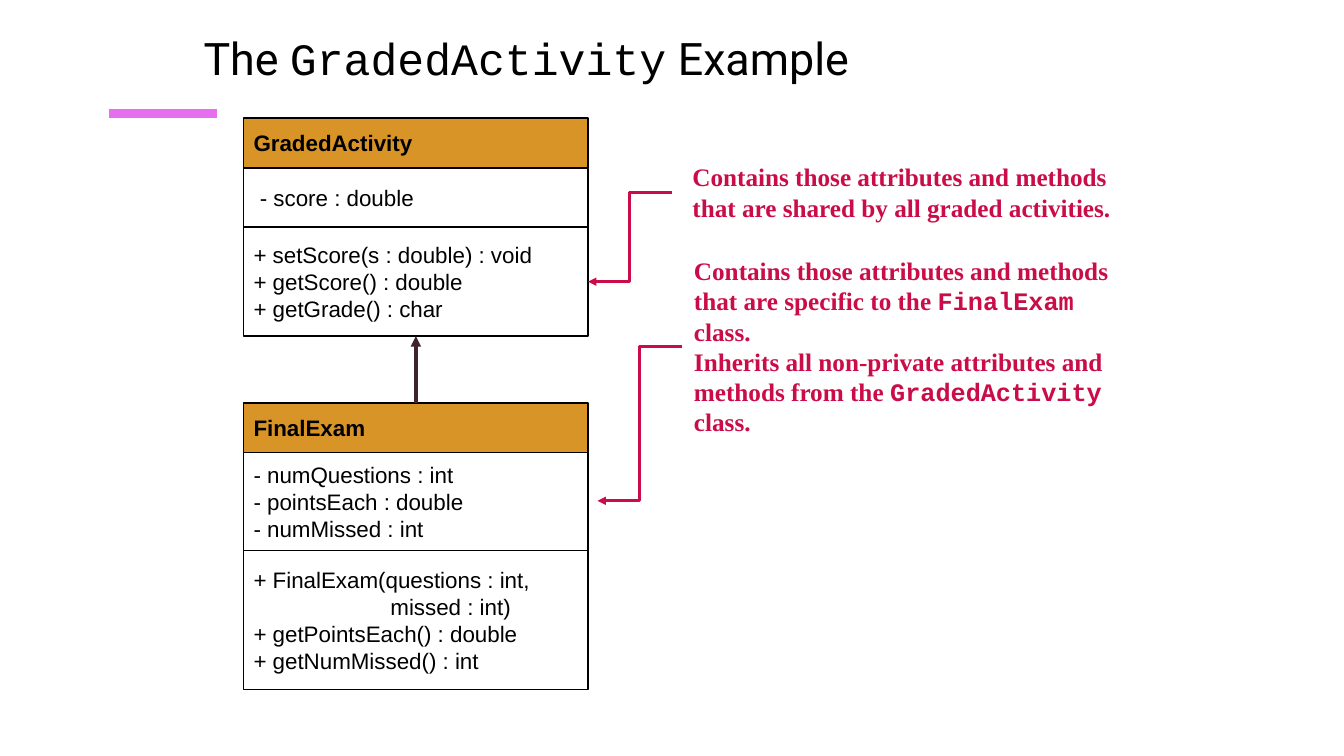
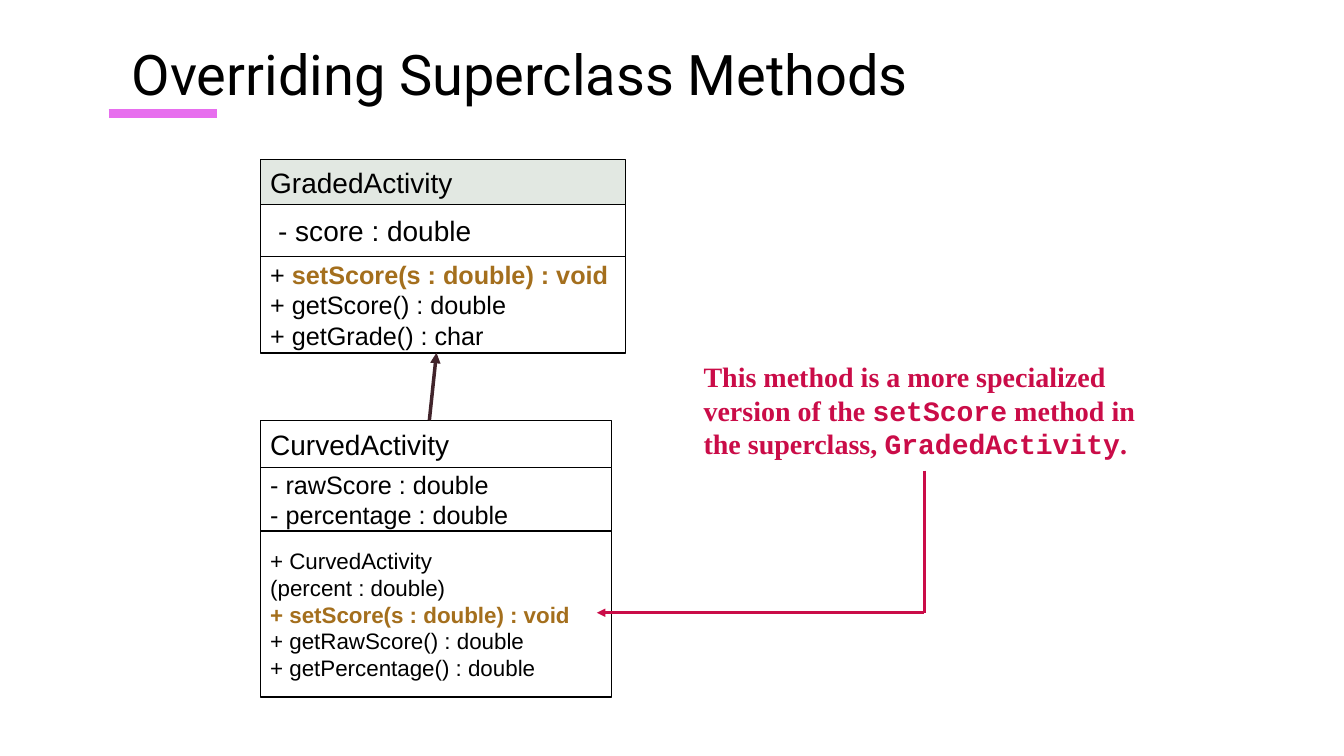
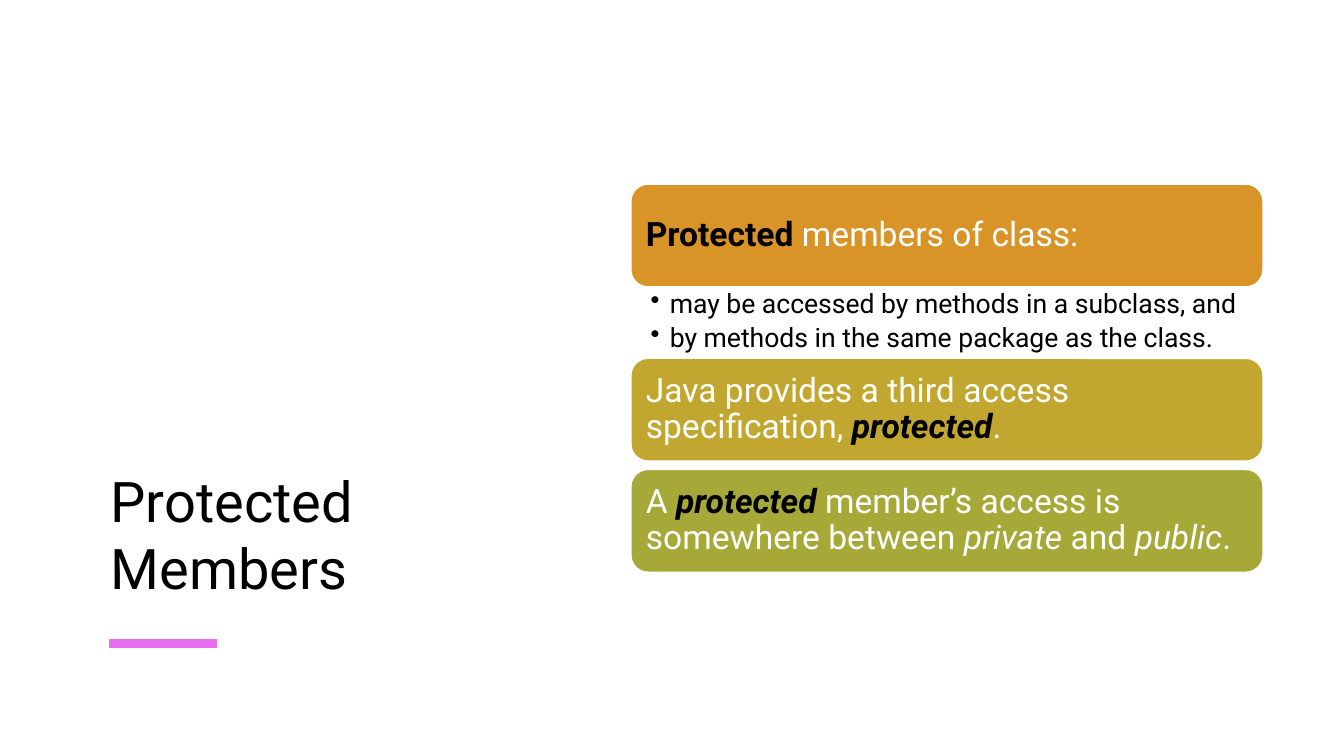
from dataclasses import dataclass

from lxml import etree
from pptx import Presentation
from pptx import util as u
from pptx.dml.color import RGBColor
from pptx.enum import shapes, text
from pptx.oxml import ns


@dataclass(frozen=True)
class Theme:
    black: str = "000000"
    white: str = "FFFFFF"
    accent: str = "E76EEE"
    orange: str = "D99428"
    gold: str = "C1A730"
    olive: str = "A6A938"
    pale: str = "E2E8E2"
    highlight: str = "A46F1D"
    crimson: str = "CA0C48"
    maroon: str = "41242B"
    heading_font: str = "Roboto"
    diagram_font: str = "Arial"
    code_font: str = "Courier New"
    note_font: str = "Times New Roman"
    title_size: int = 40
    small_title_size: int = 32
    card_size: int = 24
    large_size: int = 20
    bullet_size: int = 19
    medium_size: int = 18
    small_size: int = 16


THEME = Theme()


@dataclass(frozen=True)
class Style:
    name: str
    size: int
    color: str = THEME.black
    bold: bool = False


@dataclass(frozen=True)
class Run:
    text: str
    font: str | None = None
    color: str | None = None
    bold: bool | None = None
    italic: bool | None = None


@dataclass(frozen=True)
class Line:
    runs: tuple[Run, ...]
    indent: float = 0
    hanging: float = 0
    bullet: str = ""
    spacing: float | None = None
    after: float = 0


@dataclass(frozen=True)
class Box:
    left: float
    top: float
    width: float
    height: float

    def lengths(self) -> tuple[u.Cm, ...]:
        return tuple(u.Cm(value) for value in (self.left, self.top, self.width, self.height))


@dataclass(frozen=True)
class Section:
    height: float
    size: int
    lines: tuple[Line, ...]
    fill: str = THEME.white
    bold: bool = False


@dataclass(frozen=True)
class ClassDiagram:
    left: float
    top: float
    width: float
    sections: tuple[Section, ...]


@dataclass(frozen=True)
class Card:
    top: float
    fill: str
    runs: tuple[Run, ...]


def line(*parts: str | Run, **options) -> Line:
    return Line(tuple(Run(part) if isinstance(part, str) else part for part in parts), **options)


def code(content: str) -> Run:
    return Run(content, font=THEME.code_font)


def marked(content: str) -> Run:
    return Run(content, color=THEME.highlight, bold=True)


def write_lines(frame, lines: tuple[Line, ...], style: Style, anchor=text.MSO_ANCHOR.TOP) -> None:
    frame.word_wrap = True
    frame.vertical_anchor = anchor
    for index, item in enumerate(lines):
        paragraph = frame.add_paragraph() if index else frame.paragraphs[0]
        paragraph.alignment = text.PP_ALIGN.LEFT
        if item.spacing:
            paragraph.line_spacing = item.spacing
        if item.after:
            paragraph.space_after = u.Pt(item.after)
        properties = paragraph._p.get_or_add_pPr()
        if item.indent:
            properties.set("marL", str(u.Cm(item.indent)))
            properties.set("indent", str(u.Cm(-item.hanging)))
        if item.bullet:
            etree.SubElement(properties, ns.qn("a:buChar")).set("char", item.bullet)
        font = paragraph.font
        font.name, font.size, font.bold = style.name, u.Pt(style.size), style.bold
        font.color.rgb = RGBColor.from_string(style.color)
        for part in item.runs:
            run = paragraph.add_run()
            run.text = part.text
            if part.font:
                run.font.name = part.font
            if part.color:
                run.font.color.rgb = RGBColor.from_string(part.color)
            if part.bold is not None:
                run.font.bold = part.bold
            if part.italic is not None:
                run.font.italic = part.italic


def add_text(slide, box: Box, lines: tuple[Line, ...], style: Style, anchor=text.MSO_ANCHOR.TOP):
    shape = slide.shapes.add_textbox(*box.lengths())
    write_lines(shape.text_frame, lines, style, anchor)
    return shape


def add_panel(slide, kind, box: Box, fill: str, outline: str, lines: tuple[Line, ...], style: Style) -> None:
    shape = slide.shapes.add_shape(kind, *box.lengths())
    shape.shadow.inherit = False
    shape.fill.solid()
    shape.fill.fore_color.rgb = RGBColor.from_string(fill)
    shape.line.color.rgb = RGBColor.from_string(outline)
    shape.line.width = u.Pt(1)
    write_lines(shape.text_frame, lines, style, text.MSO_ANCHOR.MIDDLE)


def add_line(slide, start: tuple[float, float], end: tuple[float, float], color: str, width: float,
             arrow: bool = False, kind=shapes.MSO_CONNECTOR.STRAIGHT) -> None:
    connector = slide.shapes.add_connector(kind, *(u.Cm(value) for value in start + end))
    connector.line.color.rgb = RGBColor.from_string(color)
    connector.line.width = u.Pt(width)
    if arrow:
        outline = connector.line._get_or_add_ln()
        etree.SubElement(outline, ns.qn("a:tailEnd")).set("type", "triangle")
    etree.SubElement(connector._element.spPr, ns.qn("a:effectLst"))


def add_slide(presentation, title: Line, title_box: Box, size: int = THEME.title_size,
              anchor=text.MSO_ANCHOR.TOP, accent_top: float = 2.86):
    slide = presentation.slides.add_slide(presentation.slide_layouts[6])
    add_line(slide, (2.74, accent_top), (5.46, accent_top), THEME.accent, 6)
    add_text(slide, title_box, (title,), Style(THEME.heading_font, size), anchor)
    return slide


def add_class(slide, diagram: ClassDiagram) -> None:
    top = diagram.top
    for section in diagram.sections:
        add_panel(slide, shapes.MSO_SHAPE.RECTANGLE, Box(diagram.left, top, diagram.width, section.height),
                  section.fill, THEME.black, section.lines,
                  Style(THEME.diagram_font, section.size, bold=section.bold))
        top += section.height


def add_callout(slide, box: Box, size: int, *lines: Line, anchor=text.MSO_ANCHOR.MIDDLE) -> None:
    add_text(slide, box, lines, Style(THEME.note_font, size, THEME.crimson, True), anchor)


def build_example(presentation) -> None:
    slide = add_slide(presentation, line("The ", code("GradedActivity"), " Example"),
                      Box(4.88, 0.64, 21.59, 2.34), THEME.small_title_size)
    size = THEME.small_size
    add_class(slide, ClassDiagram(6.14, 2.97, 8.68, (
        Section(1.27, size, (line("GradedActivity"),), THEME.orange, True),
        Section(1.48, size, (line("- score : double", indent=0.16),)),
        Section(2.75, size, (line("+ setScore(s : double) : void"), line("+ getScore() : double"),
                             line("+ getGrade() : char"))),
    )))
    add_class(slide, ClassDiagram(6.14, 10.16, 8.68, (
        Section(1.24, size, (line("FinalExam"),), THEME.orange, True),
        Section(2.47, size, (line("- numQuestions : int"), line("- pointsEach : double"),
                             line("- numMissed : int"))),
        Section(3.51, size, (line("+ FinalExam(questions : int,"), line("missed : int)", indent=3.45),
                             line("+ getPointsEach() : double"), line("+ getNumMissed() : int"))),
    )))
    add_line(slide, (10.48, 10.16), (10.48, 8.47), THEME.maroon, 2.5, True)
    add_callout(slide, Box(17.2, 3.94, 11.37, 1.8), THEME.medium_size,
                line("Contains those attributes and methods that are shared by all graded activities."))
    add_callout(slide, Box(17.24, 6.3, 11.33, 4.85), THEME.medium_size,
                line("Contains those attributes and methods that are specific to the ",
                     code("FinalExam"), " class."),
                line("Inherits all non-private attributes and methods from the ",
                     code("GradedActivity"), " class."))
    for start, end in (((16.93, 4.85), (14.82, 7.1)), ((17.18, 8.74), (15.06, 12.62))):
        add_line(slide, start, end, THEME.crimson, 2, True, shapes.MSO_CONNECTOR.ELBOW)


def build_overriding(presentation) -> None:
    slide = add_slide(presentation, line("Overriding Superclass Methods"), Box(3.07, 0.86, 28.78, 3.3))
    add_class(slide, ClassDiagram(6.56, 4.02, 9.2, (
        Section(1.13, THEME.large_size, (line("GradedActivity"),), THEME.pale),
        Section(1.31, THEME.large_size, (line("- score : double", indent=0.2),)),
        Section(2.44, THEME.medium_size, (line("+ ", marked("setScore(s : double) : void")),
                                          line("+ getScore() : double"), line("+ getGrade() : char"))),
    )))
    add_class(slide, ClassDiagram(6.56, 10.59, 8.86, (
        Section(1.19, THEME.large_size, (line("CurvedActivity"),)),
        Section(1.6, THEME.medium_size, (line("- rawScore : double"), line("- percentage : double"))),
        Section(4.19, THEME.small_size, (line("+ CurvedActivity"), line("(percent : double)"),
                                         line(marked("+ setScore(s : double) : void")),
                                         line("+ getRawScore() : double"),
                                         line("+ getPercentage() : double"))),
    )))
    add_line(slide, (10.82, 10.59), (11, 8.89), THEME.maroon, 2.5, True)
    add_callout(slide, Box(17.48, 8.94, 11.68, 2.82), THEME.large_size,
                line("This method is a more specialized version of the ", code("setScore"),
                     " method in the superclass, ", code("GradedActivity"), "."),
                anchor=text.MSO_ANCHOR.TOP)
    corner = (23.29, 15.44)
    add_line(slide, corner, (15.04, 15.44), THEME.crimson, 2, True)
    add_line(slide, (23.29, 11.86), corner, THEME.crimson, 2)


def build_protected(presentation) -> None:
    slide = add_slide(presentation, line("Protected Members"), Box(2.54, 2.54, 10.62, 12.73),
                      anchor=text.MSO_ANCHOR.BOTTOM, accent_top=16.21)
    keyword = Run("protected", color=THEME.black, bold=True, italic=True)
    cards = (
        Card(4.64, THEME.orange, (Run("Protected", color=THEME.black, bold=True), Run(" members of class:"))),
        Card(9.03, THEME.gold, (Run("Java provides a third access specification, "), keyword, Run("."))),
        Card(11.83, THEME.olive, (Run("A "), keyword, Run(" member’s access is somewhere between "),
                                  Run("private", italic=True), Run(" and "),
                                  Run("public", italic=True), Run("."))),
    )
    for card in cards:
        add_panel(slide, shapes.MSO_SHAPE.ROUNDED_RECTANGLE, Box(15.9, card.top, 15.93, 2.59), card.fill,
                  THEME.white, (Line(card.runs, spacing=0.9),),
                  Style(THEME.heading_font, THEME.card_size, THEME.white))
    points = ("may be accessed by methods in a subclass, and", "by methods in the same package as the class.")
    bullets = add_text(slide, Box(15.9, 7.24, 15.93, 1.8), tuple(
        line(point, indent=0.48, hanging=0.48, bullet="•", spacing=0.9, after=3.8) for point in points
    ), Style(THEME.heading_font, THEME.bullet_size))
    frame = bullets.text_frame
    frame.margin_left, frame.margin_right = u.Cm(0.5), u.Cm(0.48)
    frame.margin_top = frame.margin_bottom = u.Cm(0.08)


def main() -> None:
    presentation = Presentation()
    presentation.slide_width, presentation.slide_height = u.Cm(33.87), u.Cm(19.05)
    build_example(presentation)
    build_overriding(presentation)
    build_protected(presentation)
    presentation.save("out.pptx")


if __name__ == "__main__":
    main()
